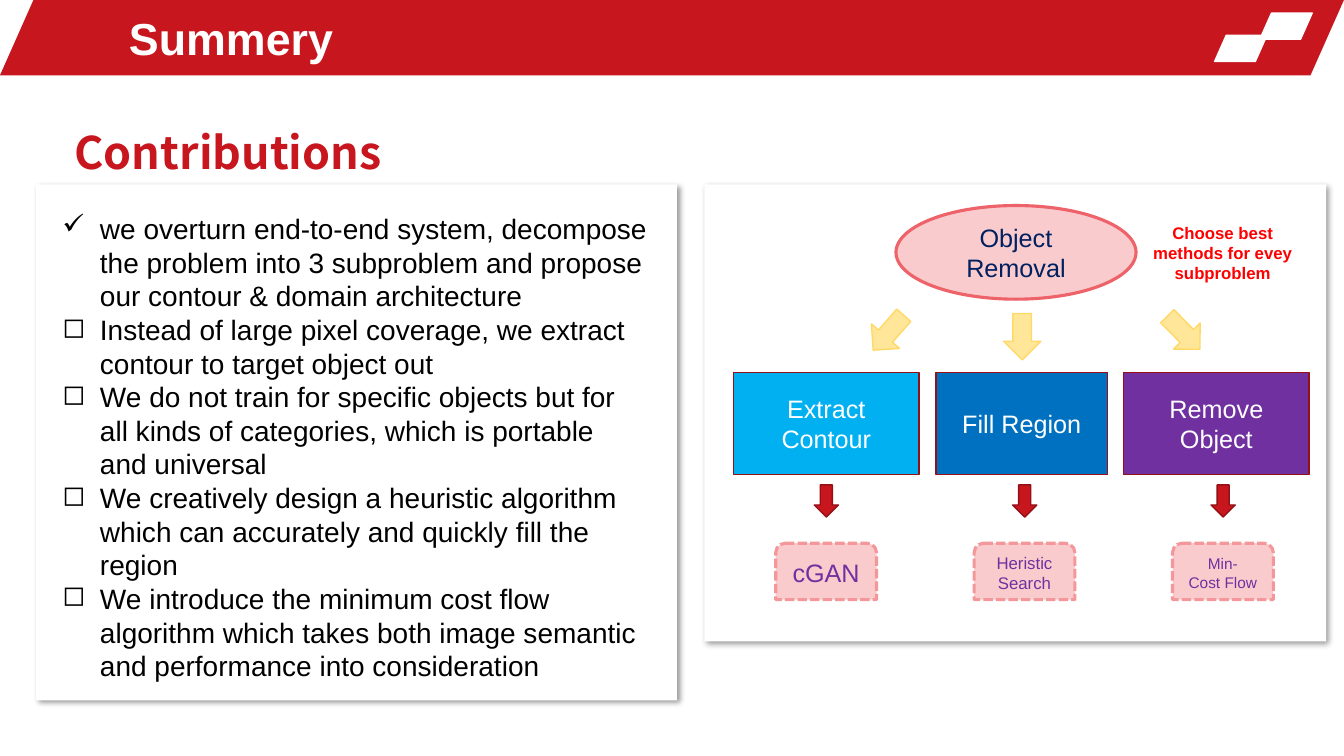
import pptx
import pptx.util
import pptx.dml.color
import pptx.enum.dml
import pptx.enum.shapes
import pptx.enum.text
import pptx.oxml
import pptx.oxml.ns
from dataclasses import dataclass

Cm, Pt = pptx.util.Cm, pptx.util.Pt
Kind = pptx.enum.shapes.MSO_SHAPE
Align = pptx.enum.text.PP_ALIGN
Anchor = pptx.enum.text.MSO_ANCHOR
NS = pptx.oxml.ns.nsdecls("a")


@dataclass(frozen=True)
class Theme:
    font: str = "Arial"
    cjk: str = "Noto Sans CJK SC"
    red: str = "C8161E"
    edge: str = "941016"
    white: str = "FFFFFF"
    black: str = "000000"
    pink: str = "F9CBCD"
    rose: str = "EE636A"
    dash: str = "F4979B"
    sand: str = "FFE699"
    gold: str = "FFD966"
    sky: str = "00B0F0"
    blue: str = "0070C0"
    plum: str = "7030A0"
    navy: str = "002060"
    alert: str = "FF0000"
    title: int = 32
    body: int = 20
    label: int = 18
    small: int = 12
    tiny: int = 11


T = Theme()

POINTS = [
    "we overturn end-to-end system, decompose the problem into 3 subproblem "
    "and propose our contour & domain architecture",
    "Instead of large pixel coverage, we extract contour to target object out",
    "We do not train for specific objects but for all kinds of categories, "
    "which is portable and universal",
    "We creatively design a heuristic algorithm which can accurately and "
    "quickly fill the region",
    "We introduce the minimum cost flow algorithm which takes both image "
    "semantic and performance into consideration",
]


def rgb(code):
    return pptx.dml.color.RGBColor.from_string(code)


def style(para, size, color, bold=False, font=T.font):
    para.font.size = Pt(size)
    para.font.name = font
    para.font.bold = bold
    para.font.color.rgb = rgb(color)


def write(shape, lines, size, color, align=Align.CENTER, anchor=Anchor.MIDDLE,
          bold=False, font=T.font):
    frame = shape.text_frame
    frame.word_wrap = True
    frame.vertical_anchor = anchor
    frame.text = "\n".join(lines)
    for para in frame.paragraphs:
        para.alignment = align
        style(para, size, color, bold, font)
    return frame


def draw(slide, kind, x, y, w, h, fill, line=None, width=1):
    shape = slide.shapes.add_shape(kind, Cm(x), Cm(y), Cm(w), Cm(h))
    shape.shadow.inherit = False
    shape.fill.solid()
    shape.fill.fore_color.rgb = rgb(fill)
    if line:
        shape.line.color.rgb = rgb(line)
        shape.line.width = Pt(width)
    else:
        shape.line.fill.background()
    return shape


def text(slide, x, y, w, h):
    return slide.shapes.add_textbox(Cm(x), Cm(y), Cm(w), Cm(h))


def panel(slide, x, y, w, h):
    """White card with a soft shadow towards the lower right."""
    card = draw(slide, Kind.ROUNDED_RECTANGLE, x, y, w, h, T.white)
    card.adjustments[0] = 0
    effect = card._element.spPr.find(pptx.oxml.ns.qn("a:effectLst"))
    effect.append(pptx.oxml.parse_xml(
        f'<a:outerShdw {NS} blurRad="{Pt(4)}" dist="{Pt(3)}" dir="2700000" '
        f'algn="tl" rotWithShape="0"><a:srgbClr val="{T.black}">'
        '<a:alpha val="40000"/></a:srgbClr></a:outerShdw>'))


def header(slide, x, y, w, h):
    bars = [(0, 0, w, h, T.red, None),
            (w - 2.12, 0.33, 1.32, 0.66, T.white, T.white),
            (w - 3.26, 0.89, 1.32, 0.66, T.white, T.white)]
    for dx, dy, wide, high, fill, line in bars:
        bar = draw(slide, Kind.PARALLELOGRAM, x + dx, y + dy, wide, high,
                   fill, line)
        bar.adjustments[0] = 0.444
    write(text(slide, x + 3, y + 0.13, 19.66, 1.65), ["Summery"],
          T.title, T.white, Align.LEFT, bold=True)


def heading(slide, x, y, w, h):
    frame = write(text(slide, x, y, w, h), ["Contributions"], T.title, T.red,
                  Align.LEFT, Anchor.TOP, True, T.cjk)
    frame.paragraphs[0].line_spacing = 1.5


def points(slide, x, y, w, h):
    panel(slide, x, y, w, h)
    frame = text(slide, x + 0.41, y + 0.56, w - 0.88, h + 0.8).text_frame
    frame.word_wrap = True
    frame.text = "\n".join(POINTS)
    for i, para in enumerate(frame.paragraphs):
        props = para._p.get_or_add_pPr()
        props.set("marL", str(Cm(0.95)))
        props.set("indent", str(-Cm(0.95)))
        mark = "◻" if i else "✓"
        props.append(pptx.oxml.parse_xml(f'<a:buChar {NS} char="{mark}"/>'))
        style(para, T.body, T.black)


def flow(slide, x, y, w, h):
    """Card with the problem, its three subproblems and their methods."""
    panel(slide, x, y, w, h)
    root = draw(slide, Kind.OVAL, x + 4.83, y + 0.53, 6.05, 2.36,
                T.pink, T.rose, 2.25)
    write(root, ["Object Removal"], T.label, T.navy)
    write(text(slide, x + 10.87, y + 0.84, 4.39, 1.8),
          ["Choose best methods for evey subproblem"],
          T.small, T.alert, anchor=Anchor.TOP, bold=True)

    for dx, dy, turn in [(4.17, 3.15, 41.2), (7.54, 3.25, 0),
                         (11.61, 3.15, 315.5)]:
        arrow = draw(slide, Kind.DOWN_ARROW, x + dx, y + dy, 0.94, 1.17,
                     T.sand, T.gold)
        arrow.rotation = turn

    steps = [
        (0.74, 4.67, T.sky, ["Extract Contour"], ["cGAN"], T.label),
        (5.84, 4.32, T.blue, ["Fill Region"], ["Heristic Search"], T.small),
        (10.57, 4.67, T.plum, ["Remove", "Object"], ["Min-", "Cost Flow"],
         T.tiny),
    ]
    for i, (dx, wide, fill, task, method, size) in enumerate(steps):
        block = draw(slide, Kind.RECTANGLE, x + dx, y + 4.74, wide, 2.57,
                     fill, T.edge)
        write(block, task, T.label, T.white)
        mid = x + 3.07 + 5 * i
        draw(slide, Kind.DOWN_ARROW, mid - 0.3, y + 7.57, 0.61, 0.81,
             T.red, T.edge)
        tag = draw(slide, Kind.ROUND_2_SAME_RECTANGLE, mid - 1.27, y + 9.04,
                   2.54, 1.42, T.pink, T.dash, 2.25)
        tag.line.dash_style = pptx.enum.dml.MSO_LINE.SQUARE_DOT
        write(tag, method, size, T.plum)


def main():
    deck = pptx.Presentation()
    deck.slide_width, deck.slide_height = Cm(33.87), Cm(19.05)
    slide = deck.slides.add_slide(deck.slide_layouts[6])
    header(slide, 0, 0, 33.87, 1.9)
    heading(slide, 1.63, 2.34, 16.87, 2.06)
    points(slide, 0.91, 4.65, 16.15, 13)
    flow(slide, 17.75, 4.65, 15.67, 11.51)
    deck.save("out.pptx")


if __name__ == "__main__":
    main()
